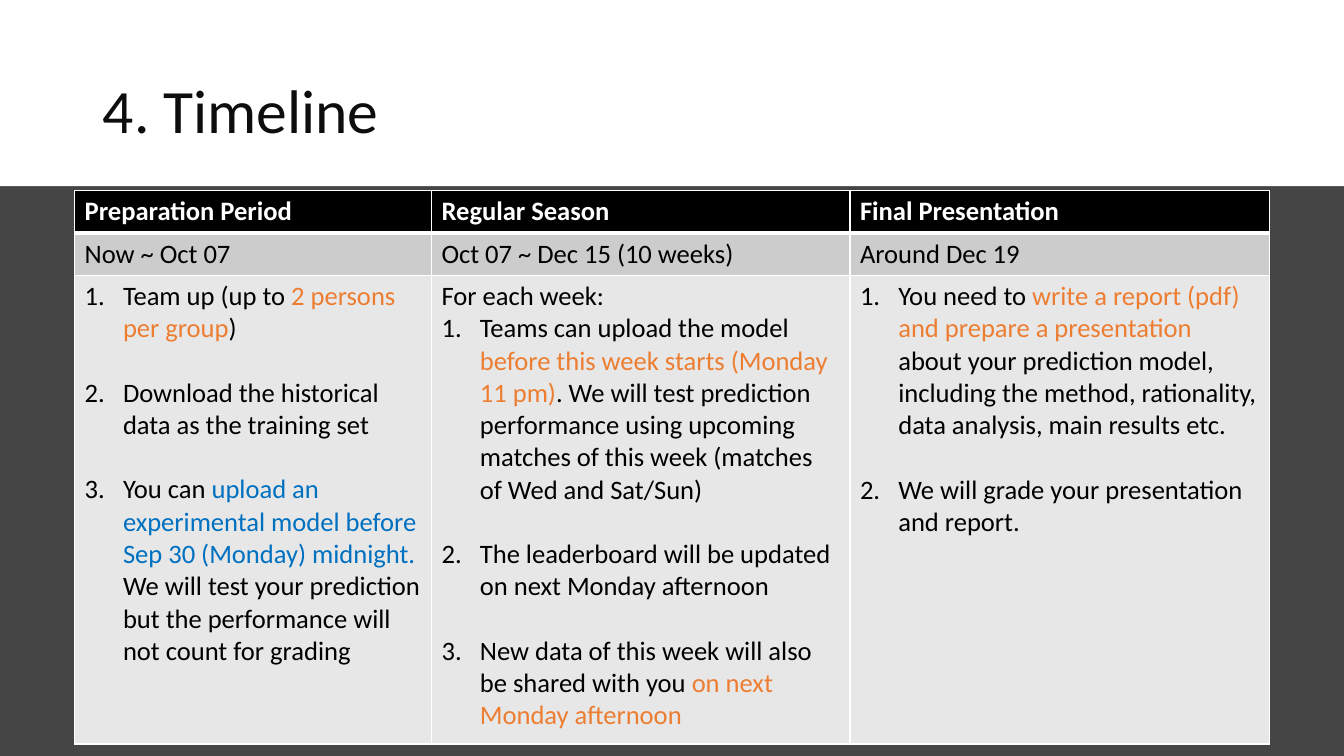
from pptx import Presentation
from pptx.dml.color import RGBColor
from pptx.enum.shapes import MSO_SHAPE
from pptx.enum.text import MSO_ANCHOR, MSO_AUTO_SIZE, PP_ALIGN
from pptx.oxml import parse_xml
from pptx.oxml.ns import nsdecls
from pptx.util import Inches, Pt

BLACK, WHITE, DARK = "000000", "FFFFFF", "454545"
ORANGE, BLUE = "ED7D31", "0070C0"


def rgb(value):
    return RGBColor.from_string(value)


class SlideBuilder:
    font = "Calibri"
    body_size = 19
    indent = 0.38
    item_gap = 23

    def __init__(self, prs):
        self.s = prs.slides.add_slide(prs.slide_layouts[5])

    def background(self, color):
        fill = self.s.background.fill
        fill.solid()
        fill.fore_color.rgb = rgb(color)

    def rect(self, x, y, w, h, color):
        sp = self.s.shapes.add_shape(
            MSO_SHAPE.RECTANGLE, Inches(x), Inches(y), Inches(w), Inches(h))
        sp.shadow.inherit = False
        sp.fill.solid()
        sp.fill.fore_color.rgb = rgb(color)
        sp.line.fill.background()

    def run(self, p, text, size, color, bold=False):
        r = p.add_run()
        r.text = text
        r.font.name = self.font
        r.font.size = Pt(size)
        r.font.bold = bold
        r.font.color.rgb = rgb(color)

    def title(self, text, x, y, w, h):
        sp = self.s.shapes.title
        self.s.shapes._spTree.append(sp._element)
        sp.left, sp.top, sp.width, sp.height = map(Inches, (x, y, w, h))
        tf = sp.text_frame
        tf.word_wrap = True
        tf.auto_size = MSO_AUTO_SIZE.NONE
        tf.vertical_anchor = MSO_ANCHOR.MIDDLE
        p = tf.paragraphs[0]
        p.alignment = PP_ALIGN.LEFT
        p.line_spacing = 0.9
        self.run(p, text, 44, "0D0D0D")

    def number(self, p):
        pPr = p._p.get_or_add_pPr()
        pPr.set("marL", str(Inches(self.indent)))
        pPr.set("indent", str(-Inches(self.indent)))
        pPr.append(parse_xml(f'<a:buFont {nsdecls("a")} typeface="+mj-lt"/>'))
        pPr.append(parse_xml(f'<a:buAutoNum {nsdecls("a")} type="arabicPeriod"/>'))

    def borders(self, cell, bottom, top):
        tcPr = cell._tc.get_or_add_tcPr()
        widths = {"L": 1, "R": 1, "T": top, "B": bottom}
        for i, (side, width) in enumerate(widths.items()):
            tcPr.insert(i, parse_xml(
                f'<a:ln{side} {nsdecls("a")} w="{Pt(width)}"><a:solidFill>'
                f'<a:srgbClr val="{WHITE}"/></a:solidFill></a:ln{side}>'))

    def cell(self, cell, fill, color=BLACK, bold=False, intro=None, items=()):
        cell.fill.solid()
        cell.fill.fore_color.rgb = rgb(fill)
        tf = cell.text_frame
        p = tf.paragraphs[0]
        if intro:
            self.run(p, intro, self.body_size, color, bold)
        for i, item in enumerate(items):
            if i or intro:
                p = tf.add_paragraph()
            if i:
                p.space_before = Pt(self.item_gap)
            self.number(p)
            for text, run_color in item:
                self.run(p, text, self.body_size, run_color)

    def table(self, x, y, widths, heights, columns):
        tbl = self.s.shapes.add_table(
            len(heights), len(widths), Inches(x), Inches(y),
            Inches(sum(widths)), Inches(sum(heights))).table
        for col, width in zip(tbl.columns, widths):
            col.width = Inches(width)
        for row, height in zip(tbl.rows, heights):
            row.height = Inches(height)
        for c, (heading, dates, intro, items) in enumerate(columns):
            self.cell(tbl.cell(0, c), BLACK, WHITE, True, heading)
            self.cell(tbl.cell(1, c), "CCCCCC", intro=dates)
            self.cell(tbl.cell(2, c), "E7E7E7", intro=intro, items=items)
            for r in range(len(heights)):
                self.borders(tbl.cell(r, c), 3 if r == 0 else 1, 3 if r == 1 else 1)


PHASES = [
    ("Preparation Period", "Now ~ Oct 07", None, [
        [("Team up (up to ", BLACK), ("2 persons per group", ORANGE), (")", BLACK)],
        [("Download the historical data as the training set", BLACK)],
        [("You can ", BLACK),
         ("upload an experimental model before Sep 30 (Monday) midnight. ", BLUE),
         ("We will test your prediction but the performance will not count "
          "for grading", BLACK)],
    ]),
    ("Regular Season", "Oct 07 ~ Dec 15 (10 weeks)", "For each week:", [
        [("Teams can upload the model ", BLACK),
         ("before this week starts (Monday 11 pm)", ORANGE),
         (". We will test prediction performance using upcoming matches of "
          "this week (matches of Wed and Sat/Sun)", BLACK)],
        [("The leaderboard will be updated on next Monday afternoon", BLACK)],
        [("New data of this week will also be shared with you ", BLACK),
         ("on next Monday afternoon", ORANGE)],
    ]),
    ("Final Presentation", "Around Dec 19", None, [
        [("You need to ", BLACK),
         ("write a report (pdf) and prepare a presentation ", ORANGE),
         ("about your prediction model, including the method, rationality, "
          "data analysis, main results etc.", BLACK)],
        [("We will grade your presentation and report.", BLACK)],
    ]),
]


def main():
    prs = Presentation()
    prs.slide_width, prs.slide_height = Inches(13.33), Inches(7.5)
    b = SlideBuilder(prs)
    b.background(DARK)
    b.rect(0, 0, 13.33, 1.85, WHITE)
    b.rect(0, 1.85, 13.33, 5.65, DARK)
    b.title("4. Timeline", 0.92, 0.4, 11.5, 1.45)
    b.table(0.74, 1.89, [3.54, 4.15, 4.16], [0.42, 0.41, 4.65], PHASES)
    prs.save("out.pptx")


if __name__ == "__main__":
    main()
